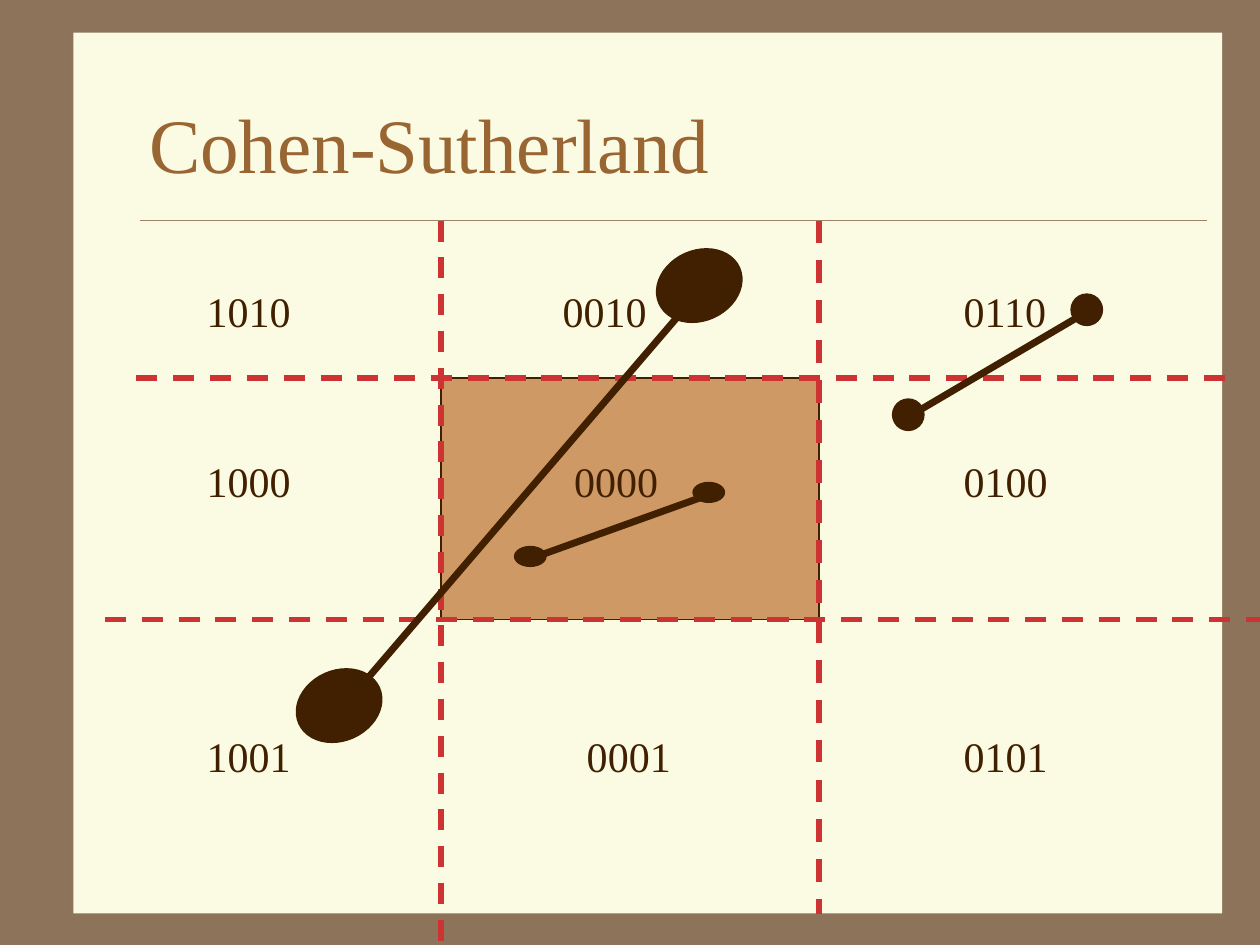
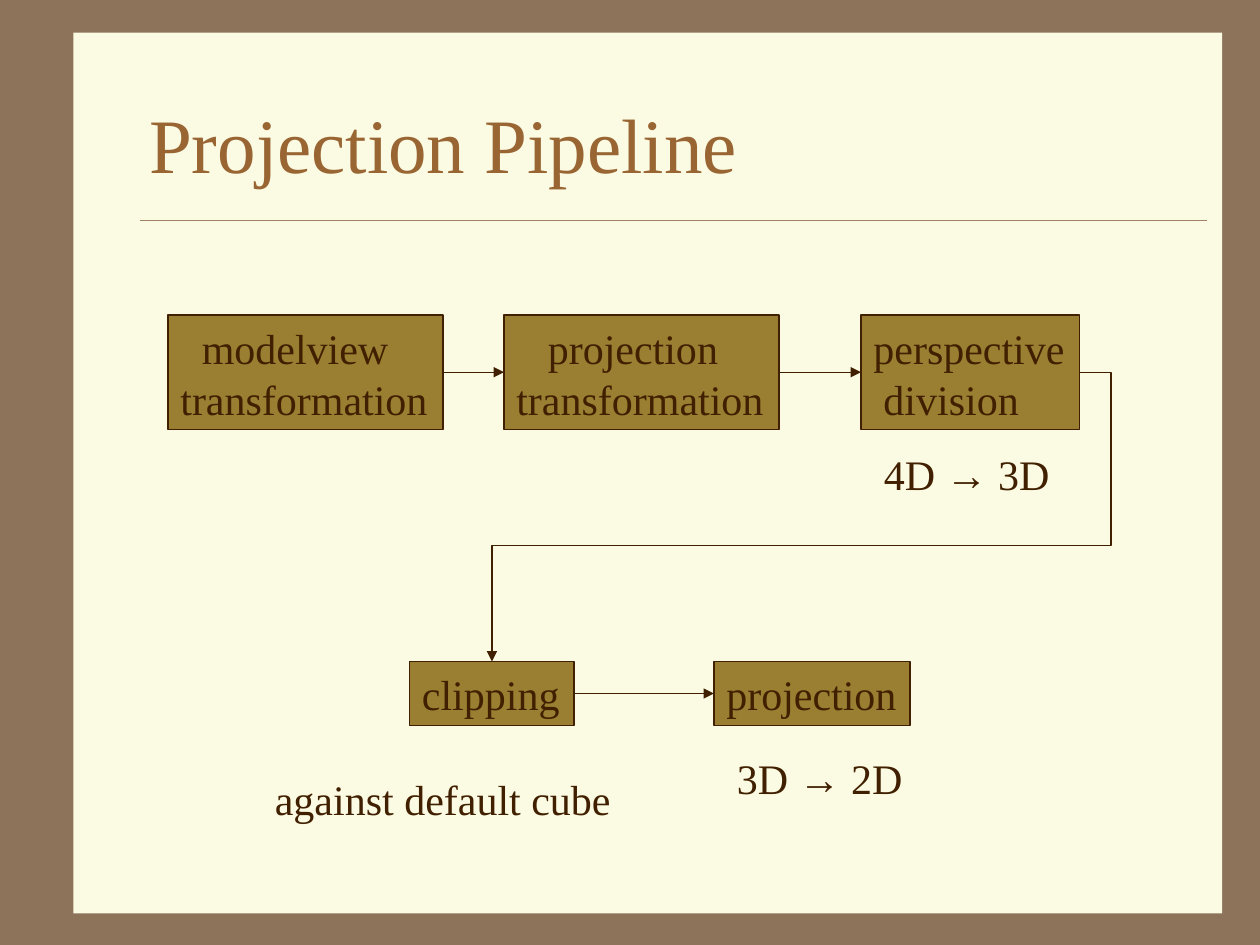
import dataclasses

import lxml.etree
import pptx
import pptx.dml.color
import pptx.enum.dml
import pptx.enum.shapes
import pptx.enum.text
import pptx.oxml.ns
import pptx.util

CELL = pptx.util.Inches(1) / 12  # the slide is 120 columns by 90 rows
SHAPES = pptx.enum.shapes.MSO_SHAPE
CONNECTORS = pptx.enum.shapes.MSO_CONNECTOR
ANCHORS = pptx.enum.text.MSO_ANCHOR
LEFT, RIGHT = 1, 3


@dataclasses.dataclass(frozen=True)
class Theme:
    font: str = "Times New Roman"
    title_size: int = 44
    text_size: int = 24
    line_height: float = 1.22
    surround: str = "8C735A"
    panel: str = "FBFAE2"
    rule: str = "A08366"
    title: str = "996633"
    ink: str = "402000"
    window: str = "CE9964"
    boundary: str = "CD3333"
    stage: str = "9A7F32"


@dataclasses.dataclass(frozen=True)
class Area:
    """A rectangle measured in grid cells."""
    left: float
    top: float
    width: float
    height: float

    def inner(self, column, row, width, height):
        return Area(self.left + column, self.top + row, width, height)

    def point(self, column, row):
        return self.left + column, self.top + row

    def emu(self):
        return [round(cells * CELL) for cells in dataclasses.astuple(self)]


THEME = Theme()
PANEL = Area(7, 3.1, 109.4, 83.9)
TITLE = Area(13, 6, 102, 15)
BODY = Area(13, 21, 102, 66)


def rgb(code):
    return pptx.dml.color.RGBColor.from_string(code)


def add_shape(page, kind, area, fill, line_width=0.75):
    shape = page.shapes.add_shape(kind, *area.emu())
    shape.shadow.inherit = False
    shape.fill.solid()
    shape.fill.fore_color.rgb = rgb(fill)
    if line_width:
        shape.line.color.rgb = rgb(THEME.ink)
        shape.line.width = pptx.util.Pt(line_width)
    else:
        shape.line.fill.background()
    return shape


def add_line(page, start, end, width=0.75, color=THEME.ink, dashed=False,
             arrow=False, kind=CONNECTORS.STRAIGHT):
    ends = [round(cells * CELL) for cells in (*start, *end)]
    connector = page.shapes.add_connector(kind, *ends)
    line = connector.line
    line.color.rgb = rgb(color)
    line.width = pptx.util.Pt(width)
    if dashed:
        line.dash_style = pptx.enum.dml.MSO_LINE.DASH
    properties = connector.element.spPr
    if arrow:
        outline = properties.find(pptx.oxml.ns.qn("a:ln"))
        lxml.etree.SubElement(outline, pptx.oxml.ns.qn("a:tailEnd"), type="triangle")
    lxml.etree.SubElement(properties, pptx.oxml.ns.qn("a:effectLst"))
    return connector


def write(shape, text, size=THEME.text_size, color=THEME.ink, wrap=False,
          anchor=ANCHORS.TOP):
    frame = shape.text_frame
    frame.text = text
    frame.word_wrap = wrap
    frame.auto_size = pptx.enum.text.MSO_AUTO_SIZE.NONE
    frame.vertical_anchor = anchor
    for para in frame.paragraphs:
        para.alignment = pptx.enum.text.PP_ALIGN.LEFT
        para.line_spacing = pptx.util.Pt(size * THEME.line_height)
        for span in para.runs:
            span.font.name = THEME.font
            span.font.size = pptx.util.Pt(size)
            span.font.color.rgb = rgb(color)


def add_text(page, area, text):
    write(page.shapes.add_textbox(*area.emu()), text)


def move_frame_to_layout(page):
    """Draws the panel and title rule once, on the layout all slides use."""
    panel = add_shape(page, SHAPES.RECTANGLE, PANEL, THEME.panel, line_width=0)
    rule = add_line(page, (13.3, 21), (115, 21), 0.25, THEME.rule)
    tree = page.slide_layout.shapes.element
    for index, shape in enumerate((panel, rule)):
        shape.element.xpath(".//p:cNvPr")[0].set("id", str(100 + index))
        tree.insert(2 + index, shape.element)


def add_page(deck, title):
    page = deck.slides.add_slide(deck.slide_layouts[5])
    holder = page.shapes.title
    holder.left, holder.top, holder.width, holder.height = TITLE.emu()
    write(holder, title, THEME.title_size, THEME.title, True, ANCHORS.MIDDLE)
    return page


def add_segment(page, box, ends, dot, shift, turn=0):
    """Draws a thick line with a dot at each end, the line shifted slightly."""
    dot_width, dot_height = dot
    add_line(page, *(box.point(column + shift[0], row + shift[1])
                     for column, row in ends), width=4)
    for column, row in ends:
        area = box.inner(column - dot_width / 2, row - dot_height / 2, *dot)
        add_shape(page, SHAPES.OVAL, area, THEME.ink).rotation = turn


def fill_outcodes(page, box):
    """Draws the clip window, its extended edges, region codes and segments."""
    left, right, top, bottom = 29, 65, 15, 38
    window = box.inner(left, top, right - left, bottom - top)
    add_shape(page, SHAPES.RECTANGLE, window, THEME.window)

    for start, end, width in (
        ((right, 0), (right, 66), 3.25),
        ((0, top), (105, top), 3),
        ((left, 0), (left, 69), 3),
        ((-3, bottom), (107, bottom), 3),
    ):
        add_line(page, box.point(*start), box.point(*end), width,
                 THEME.boundary, dashed=True)

    for row, middle, codes in (
        (5.5, 39.4, ("1010", "0010", "0110")),
        (21.7, 40.5, ("1000", "0000", "0100")),
        (47.9, 41.7, ("1001", "0001", "0101")),
    ):
        for column, code in zip((5.5, middle, 77.6), codes):
            add_text(page, box.inner(column, row, 10.5, 6), code)

    add_segment(page, box, ((37.5, 32), (54.5, 25.9)), (3, 1.9), (-0.5, 0.4))
    add_segment(page, box, ((19.3, 46.2), (53.6, 6.2)), (8.4, 6.7), (-0.8, 1.5), 335.8)
    add_segment(page, box, ((73.5, 18.5), (90.5, 8.5)), (3, 3), (-0.5, 0.5))


def add_stage(page, area, text, indents):
    stage = add_shape(page, SHAPES.RECTANGLE, area, THEME.stage, line_width=1)
    write(stage, text)
    for para, indent in zip(stage.text_frame.paragraphs, indents):
        properties = para._p.get_or_add_pPr()
        properties.set("marL", str(pptx.util.Inches(indent)))
    return stage


def join(page, first, second):
    """Links the right side of one stage to the left side of the next."""
    arrow = add_line(page, (0, 0), (1, 1), arrow=True)
    arrow.begin_connect(first, RIGHT)
    arrow.end_connect(second, LEFT)


def wrap_to_next_row(page, start, end):
    """Leads an arrow out to the right, then back down to the lower row."""
    arrow = add_line(page, start, end, arrow=True, kind=CONNECTORS.ELBOW)
    geometry = arrow.element.spPr.find(pptx.oxml.ns.qn("a:prstGeom"))
    geometry.set("prst", "bentConnector4")
    guides = geometry.find(pptx.oxml.ns.qn("a:avLst"))
    for name, value in (("adj1", -5400), ("adj2", 60000)):
        lxml.etree.SubElement(guides, pptx.oxml.ns.qn("a:gd"),
                              name=name, fmla=f"val {value}")


def fill_pipeline(page, box):
    upper, lower, tall, short = 9, 42, 10.9, 6.1
    division_area = box.inner(69, upper, 20.8, tall)
    clipping_area = box.inner(26, lower, 15.7, short)
    modelview, transformation, division, clipping, projection = (
        add_stage(page, area, text, indents) for area, text, indents in (
            (box.inner(3, upper, 26.2, tall), "modelview\ntransformation", (0.17, 0)),
            (box.inner(35, upper, 26.2, tall), "projection\ntransformation", (0.25, 0)),
            (division_area, "perspective\ndivision", (0, 0.08)),
            (clipping_area, "clipping", (0,)),
            (box.inner(55, lower, 18.7, short), "projection", (0,)),
        ))

    for column, row, width, note in (
        (70, 21, 18.1, "4D → 3D"),
        (12, 52, 34.3, "against default cube"),
        (56, 50, 18.1, "3D → 2D"),
    ):
        add_text(page, box.inner(column, row, width, 6), note)

    join(page, modelview, transformation)
    join(page, transformation, division)
    wrap_to_next_row(
        page,
        division_area.point(division_area.width, division_area.height / 2),
        clipping_area.point(clipping_area.width / 2, 0))
    join(page, clipping, projection)


def main():
    deck = pptx.Presentation()
    deck.slide_width = round(120 * CELL)
    deck.slide_height = round(90 * CELL)
    backdrop = deck.slide_master.background.fill
    backdrop.solid()
    backdrop.fore_color.rgb = rgb(THEME.surround)

    outcodes = add_page(deck, "Cohen-Sutherland")
    move_frame_to_layout(outcodes)
    fill_outcodes(outcodes, BODY)
    fill_pipeline(add_page(deck, "Projection Pipeline"), BODY)
    deck.save("out.pptx")


if __name__ == "__main__":
    main()
